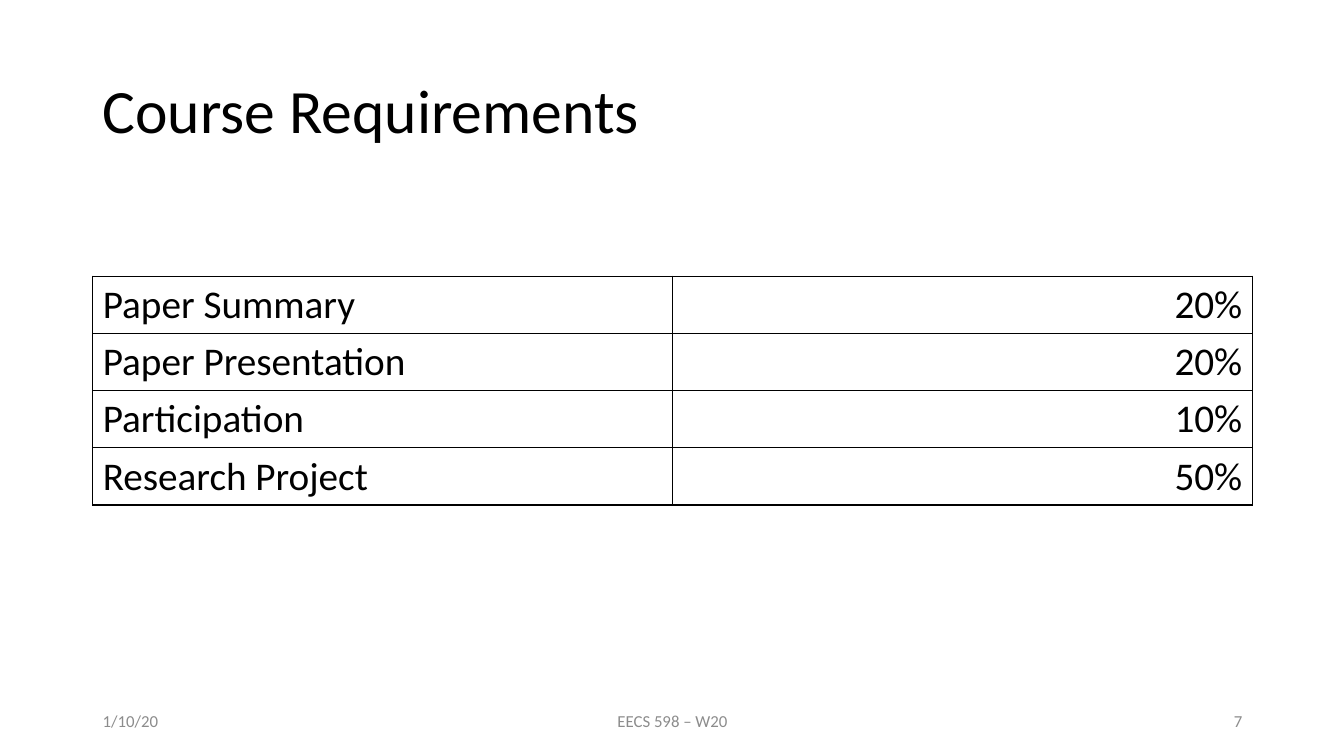
from lxml.etree import SubElement
from pptx import Presentation
from pptx.dml.color import RGBColor
from pptx.enum.text import MSO_ANCHOR, PP_ALIGN
from pptx.oxml.ns import qn
from pptx.util import Inches, Pt

COLORS = {"ink": "000000", "paper": "FFFFFF", "muted": "8C8C8C"}
FONT = "Calibri"
WEIGHTS = [
    ("Paper Summary", "20%"),
    ("Paper Presentation", "20%"),
    ("Participation", "10%"),
    ("Research Project", "50%"),
]
LEFT, WIDTH = 0.92, 11.5


def write(frame, text, size, color, align=PP_ALIGN.LEFT):
    """Put one styled paragraph into a text frame."""
    frame.text = text
    para = frame.paragraphs[0]
    para.alignment = align
    font = para.runs[0].font
    font.name, font.size = FONT, Pt(size)
    font.color.rgb = RGBColor.from_string(COLORS[color])
    return para


def label(slide, box, text, size, color, align=PP_ALIGN.LEFT):
    """Add a wrapped, vertically centred text box."""
    frame = slide.shapes.add_textbox(*map(Inches, box)).text_frame
    frame.word_wrap = True
    frame.vertical_anchor = MSO_ANCHOR.MIDDLE
    return write(frame, text, size, color, align)


def title(slide, box):
    """Add the slide heading."""
    label(slide, box, "Course Requirements", 44, "ink").line_spacing = 0.9


def border(cell):
    """Draw a thin line on each side of a cell."""
    props = cell._tc.get_or_add_tcPr()
    for side in ("lnL", "lnR", "lnT", "lnB"):
        line = SubElement(props, qn(f"a:{side}"), w=str(Pt(1)))
        fill = SubElement(line, qn("a:solidFill"))
        SubElement(fill, qn("a:srgbClr"), val=COLORS["ink"])


def grades(slide, box):
    """Add the table of grade weights."""
    shape = slide.shapes.add_table(len(WEIGHTS), 2, *map(Inches, box))
    table = shape.table
    table.first_row = table.horz_banding = False
    for row, texts in zip(table.rows, WEIGHTS):
        for cell, text, align in zip(row.cells, texts, (PP_ALIGN.LEFT, PP_ALIGN.RIGHT)):
            border(cell)
            cell.fill.solid()
            cell.fill.fore_color.rgb = RGBColor.from_string(COLORS["paper"])
            write(cell.text_frame, text, 28, "ink", align)


def footer(slide, box):
    """Add the date, course and page number along the bottom."""
    left, top, width, height = box
    side, mid = 3, 4.5
    parts = [
        (left, side, "1/10/20", PP_ALIGN.LEFT),
        (left + (width - mid) / 2, mid, "EECS 598 – W20", PP_ALIGN.CENTER),
        (left + width - side, side, "7", PP_ALIGN.RIGHT),
    ]
    for x, span, text, align in parts:
        label(slide, (x, top, span, height), text, 12, "muted", align)


def main():
    """Build and save the slide."""
    deck = Presentation()
    deck.slide_width, deck.slide_height = Inches(13.33), Inches(7.5)
    slide = deck.slides.add_slide(deck.slide_layouts[6])
    title(slide, (LEFT, 0.4, WIDTH, 1.45))
    grades(slide, (LEFT, 2.74, WIDTH, 2.27))
    footer(slide, (LEFT, 6.95, WIDTH, 0.4))
    deck.save("out.pptx")


if __name__ == "__main__":
    main()
